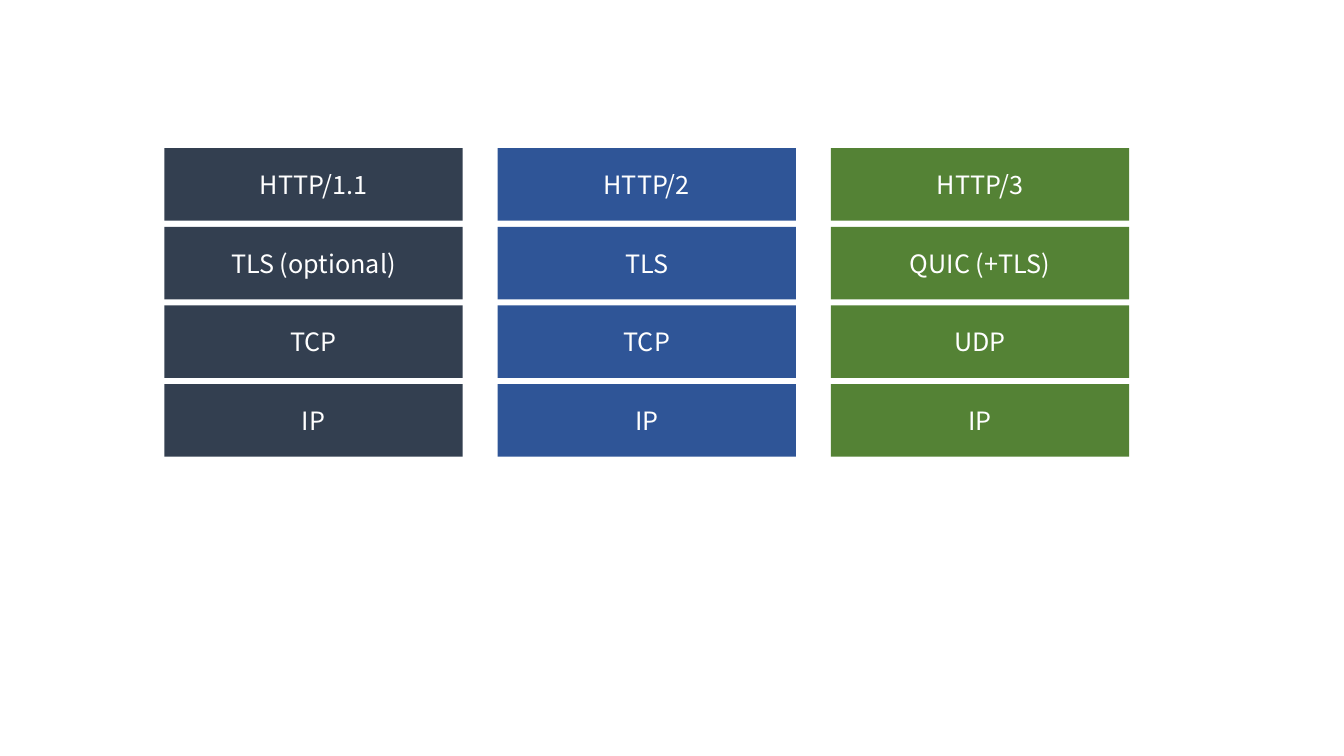
from pptx import Presentation
from pptx.dml.color import RGBColor
from pptx.enum.shapes import MSO_SHAPE
from pptx.enum.text import MSO_ANCHOR, PP_ALIGN
from pptx.util import Inches, Pt

COLORS = {"slate": "333F50", "blue": "2F5597", "green": "548235", "white": "FFFFFF"}
FONT = "Noto Sans CJK KR"

# Protocol stacks, top layer first
STACKS = [
    ("slate", ["HTTP/1.1", "TLS (optional)", "TCP", "IP"]),
    ("blue", ["HTTP/2", "TLS", "TCP", "IP"]),
    ("green", ["HTTP/3", "QUIC (+TLS)", "UDP", "IP"]),
]
LEFT, TOP, WIDTH, HEIGHT = 1.63, 1.47, 2.96, 3.06
PITCH = 3.305  # stack width plus the gap between stacks
GAP = 0.06     # between layers


def color(name):
    return RGBColor.from_string(COLORS[name])


def write(shape, text, size=18, ink="white", align=PP_ALIGN.CENTER):
    frame = shape.text_frame
    frame.word_wrap = True
    frame.vertical_anchor = MSO_ANCHOR.MIDDLE
    para = frame.paragraphs[0]
    para.alignment = align
    run = para.add_run()
    run.text = text
    run.font.name = FONT
    run.font.size = Pt(size)
    run.font.color.rgb = color(ink)


def add_stack(slide, box, fill, layers):
    """Fill the box with equal layers, grouped as one stack."""
    left, top, width, height = box
    step = (height + GAP) / len(layers)
    group = slide.shapes.add_group_shape()
    for row, label in enumerate(layers):
        layer = group.shapes.add_shape(
            MSO_SHAPE.RECTANGLE, Inches(left), Inches(top + row * step),
            Inches(width), Inches(step - GAP))
        layer.shadow.inherit = False
        layer.fill.solid()
        layer.fill.fore_color.rgb = color(fill)
        layer.line.fill.background()
        write(layer, label)


deck = Presentation()
deck.slide_width, deck.slide_height = Inches(13.33), Inches(7.5)
slide = deck.slides.add_slide(deck.slide_layouts[6])

# Stacks side by side
for col, (fill, layers) in enumerate(STACKS):
    add_stack(slide, (LEFT + col * PITCH, TOP, WIDTH, HEIGHT), fill, layers)

deck.save("out.pptx")
